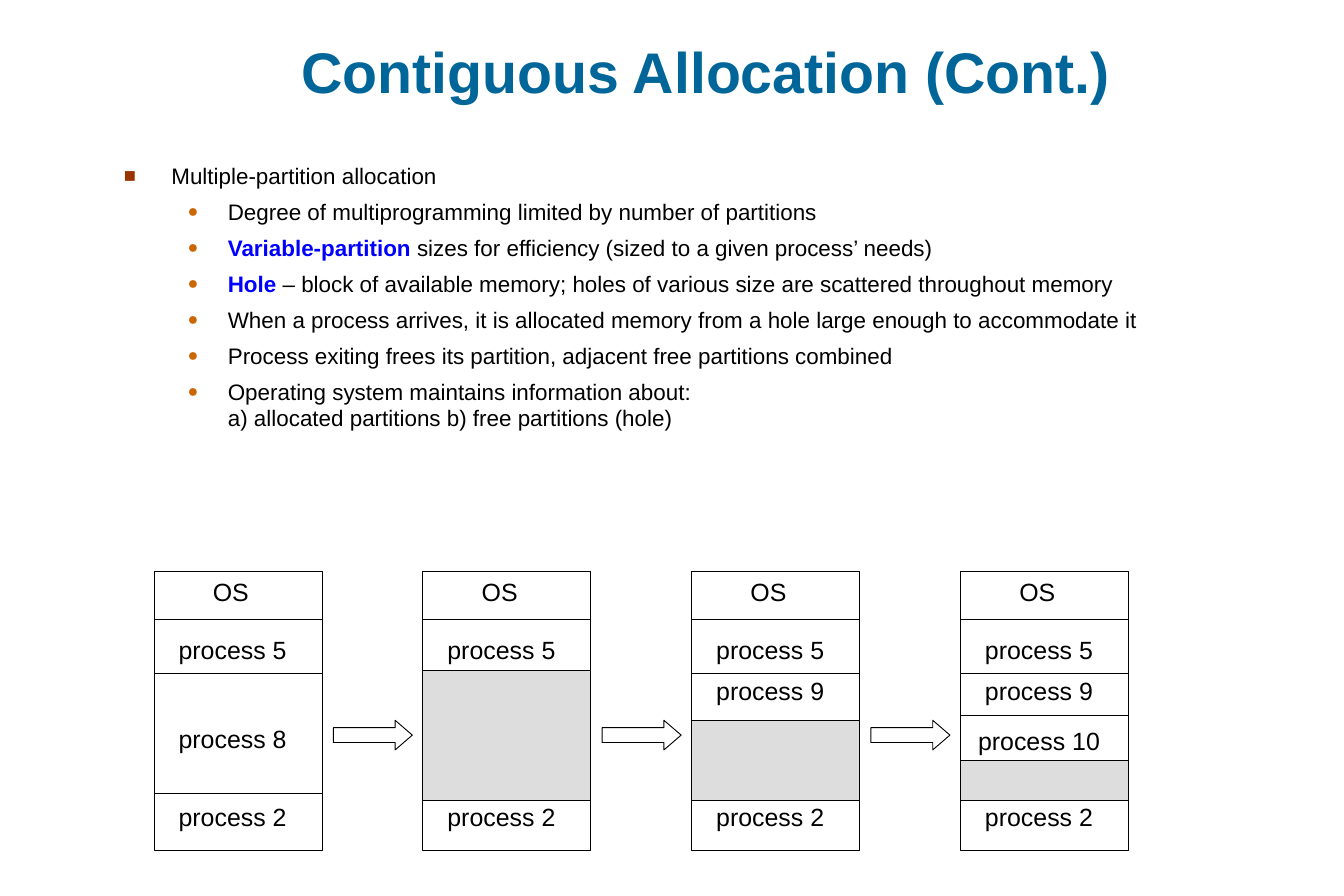
"""Build the slide on contiguous allocation with multiple partitions."""
from dataclasses import dataclass

from lxml import etree
from pptx import Presentation
from pptx.dml.color import RGBColor
from pptx.enum.shapes import MSO_CONNECTOR, MSO_SHAPE
from pptx.enum.text import MSO_ANCHOR, MSO_AUTO_SIZE, PP_ALIGN
from pptx.oxml.ns import qn
from pptx.shapes.autoshape import Shape
from pptx.slide import Slide
from pptx.text.text import TextFrame, _Paragraph
from pptx.util import Cm, Pt

RECTANGLE, RIGHT_ARROW = MSO_SHAPE.RECTANGLE, MSO_SHAPE.RIGHT_ARROW
STRAIGHT = MSO_CONNECTOR.STRAIGHT
TOP, MIDDLE, BOTTOM = MSO_ANCHOR.TOP, MSO_ANCHOR.MIDDLE, MSO_ANCHOR.BOTTOM
LEFT, CENTER = PP_ALIGN.LEFT, PP_ALIGN.CENTER
GROW, FIXED = MSO_AUTO_SIZE.SHAPE_TO_FIT_TEXT, MSO_AUTO_SIZE.NONE


@dataclass(frozen=True)
class Theme:
    """Colours, font and type sizes of the slide."""
    font: str = "Arial"
    title: str = "006699"
    ink: str = "000000"
    term: str = "0000FF"
    paper: str = "FFFFFF"
    hole: str = "DDDDDD"
    title_size: float = 46
    body_size: float = 18
    label_size: float = 20
    line_width: float = 0.75


@dataclass(frozen=True)
class Level:
    """Bullet and indent of one outline level."""
    symbol: str
    color: str
    percent: int
    margin: float
    hanging: float


@dataclass(frozen=True)
class Point:
    """One line of the outline, with an optional leading term."""
    level: Level
    text: str
    term: str = ""


@dataclass(frozen=True)
class Label:
    """A process name and the top of its box."""
    name: str
    top: float


@dataclass(frozen=True)
class Memory:
    """One state of memory: its labels, further divider and hole top."""
    labels: tuple[Label, ...]
    hole_top: float | None = None
    dividers: tuple[float, ...] = ()


THEME = Theme()
MAIN = Level("■", "993300", 90, 1.35, 1.35)
SUB = Level("●", "CC6600", 80, 2.95, 1.14)
POINT_GAP = 7.25

POINTS = (
    Point(MAIN, "Multiple-partition allocation"),
    Point(SUB, "Degree of multiprogramming limited by number of partitions"),
    Point(SUB, " sizes for efficiency (sized to a given process’ needs)", "Variable-partition"),
    Point(SUB, " – block of available memory; holes of various size are scattered throughout memory",
          "Hole"),
    Point(SUB, "When a process arrives, it is allocated memory from a hole large enough to accommodate it"),
    Point(SUB, "Process exiting frees its partition, adjacent free partitions combined"),
    Point(SUB, "Operating system maintains information about:\n"
               "a) allocated partitions b) free partitions (hole)"),
)

MEMORY_LEFT, MEMORY_TOP, MEMORY_STEP = 4.37, 16.2, 7.62
MEMORY_WIDTH, MEMORY_HEIGHT = 4.76, 7.9
DIVIDERS = (17.55, 19.08, 22.5)
HOLE_BOTTOM = 22.68
LABEL_WIDTH, LABEL_HEIGHT = 4.45, 1.22
OS_OFFSET, OS_TOP, OS_WIDTH = 1.3, 16.15, 1.75
ARROW_OFFSET, ARROW_TOP, ARROW_WIDTH, ARROW_HEIGHT = 5.08, 20.42, 2.24, 0.84

COMMON = (Label("process 5", 17.81), Label("process 2", 22.53))
PROCESS_8 = Label("process 8", 20.32)
PROCESS_9 = Label("process 9", 18.97)
PROCESS_10 = Label("process 10", 20.37)
MEMORIES = (
    Memory((*COMMON, PROCESS_8)),
    Memory(COMMON, hole_top=19.02),
    Memory((*COMMON, PROCESS_9), hole_top=20.42),
    Memory((*COMMON, PROCESS_9, PROCESS_10), hole_top=21.56, dividers=(20.27,)),
)


def write_text(paragraph: _Paragraph, text: str, *, size: float,
               color: str = THEME.ink, bold: bool = False) -> None:
    """Add formatted text to a paragraph, breaking it at line ends."""
    for index, line in enumerate(text.split("\n")):
        if index:
            paragraph.add_line_break()
        run = paragraph.add_run()
        run.text = line
        run.font.name = THEME.font
        run.font.size = Pt(size)
        run.font.bold = bold
        run.font.color.rgb = RGBColor.from_string(color)


def add_frame(slide: Slide, left: float, top: float, width: float, height: float, *,
              anchor: MSO_ANCHOR = MIDDLE, align: PP_ALIGN = CENTER,
              wrap: bool = True, grow: bool = False) -> TextFrame:
    """Add a text box and return its frame."""
    frame = slide.shapes.add_textbox(Cm(left), Cm(top), Cm(width), Cm(height)).text_frame
    frame.margin_left = frame.margin_right = Cm(0.36)
    frame.margin_top = frame.margin_bottom = Cm(0.18)
    frame.vertical_anchor = anchor
    frame.word_wrap = wrap
    frame.auto_size = GROW if grow else FIXED
    frame.paragraphs[0].alignment = align
    return frame


def set_bullet(paragraph: _Paragraph, level: Level) -> None:
    """Give a paragraph the bullet and indent of its level."""
    properties = paragraph._p.get_or_add_pPr()
    properties.set("marL", str(Cm(level.margin)))
    properties.set("indent", str(-Cm(level.hanging)))
    color = etree.SubElement(properties, qn("a:buClr"))
    etree.SubElement(color, qn("a:srgbClr"), val=level.color)
    etree.SubElement(properties, qn("a:buSzPct"), val=str(level.percent * 1000))
    etree.SubElement(properties, qn("a:buFont"), typeface=THEME.font)
    etree.SubElement(properties, qn("a:buChar"), char=level.symbol)


def add_outline(slide: Slide) -> None:
    """Add the bulleted outline."""
    frame = add_frame(slide, 3.15, 4.42, 32.39, 12.09, anchor=TOP, align=LEFT)
    for index, point in enumerate(POINTS):
        paragraph = frame.add_paragraph() if index else frame.paragraphs[0]
        set_bullet(paragraph, point.level)
        if index:
            paragraph.space_before = Pt(POINT_GAP)
        if point.term:
            write_text(paragraph, point.term, size=THEME.body_size, color=THEME.term, bold=True)
        write_text(paragraph, point.text, size=THEME.body_size)


def add_block(slide: Slide, kind: MSO_SHAPE, left: float, top: float, width: float,
              height: float, fill: str = THEME.paper) -> Shape:
    """Add a filled, outlined shape."""
    block = slide.shapes.add_shape(kind, Cm(left), Cm(top), Cm(width), Cm(height))
    block.shadow.inherit = False
    block.fill.solid()
    block.fill.fore_color.rgb = RGBColor.from_string(fill)
    block.line.color.rgb = RGBColor.from_string(THEME.ink)
    block.line.width = Pt(THEME.line_width)
    return block


def add_divider(slide: Slide, left: float, top: float) -> None:
    """Add a horizontal line across a memory block."""
    divider = slide.shapes.add_connector(
        STRAIGHT, Cm(left), Cm(top), Cm(left + MEMORY_WIDTH), Cm(top))
    divider.line.color.rgb = RGBColor.from_string(THEME.ink)
    divider.line.width = Pt(THEME.line_width)
    etree.SubElement(divider._element.spPr, qn("a:effectLst"))


def add_memory(slide: Slide, memory: Memory, left: float) -> None:
    """Add one memory block with its dividers, hole and labels."""
    add_block(slide, RECTANGLE, left, MEMORY_TOP, MEMORY_WIDTH, MEMORY_HEIGHT)
    for top in DIVIDERS + memory.dividers:
        add_divider(slide, left, top)
    if memory.hole_top is not None:
        add_block(slide, RECTANGLE, left, memory.hole_top, MEMORY_WIDTH,
                  HOLE_BOTTOM - memory.hole_top, THEME.hole)
    system = add_frame(slide, left + OS_OFFSET, OS_TOP, OS_WIDTH, LABEL_HEIGHT,
                       wrap=False, grow=True)
    write_text(system.paragraphs[0], "OS", size=THEME.label_size)
    for label in memory.labels:
        process = add_frame(slide, left, label.top, LABEL_WIDTH, LABEL_HEIGHT, grow=True)
        write_text(process.paragraphs[0], label.name, size=THEME.label_size)


def main() -> None:
    """Build and save the slide."""
    deck = Presentation()
    deck.slide_width, deck.slide_height = Cm(38.1), Cm(25.4)
    slide = deck.slides.add_slide(deck.slide_layouts[6])
    title = add_frame(slide, 3.81, 1.02, 32.39, 2.13, anchor=BOTTOM)
    write_text(title.paragraphs[0], "Contiguous Allocation (Cont.)",
               size=THEME.title_size, color=THEME.title, bold=True)
    add_outline(slide)
    for index, memory in enumerate(MEMORIES):
        left = MEMORY_LEFT + index * MEMORY_STEP
        add_memory(slide, memory, left)
        if index < len(MEMORIES) - 1:
            arrow = add_block(slide, RIGHT_ARROW, left + ARROW_OFFSET, ARROW_TOP,
                              ARROW_WIDTH, ARROW_HEIGHT)
            arrow.adjustments[1] = 0.58
    deck.save("out.pptx")


if __name__ == "__main__":
    main()
